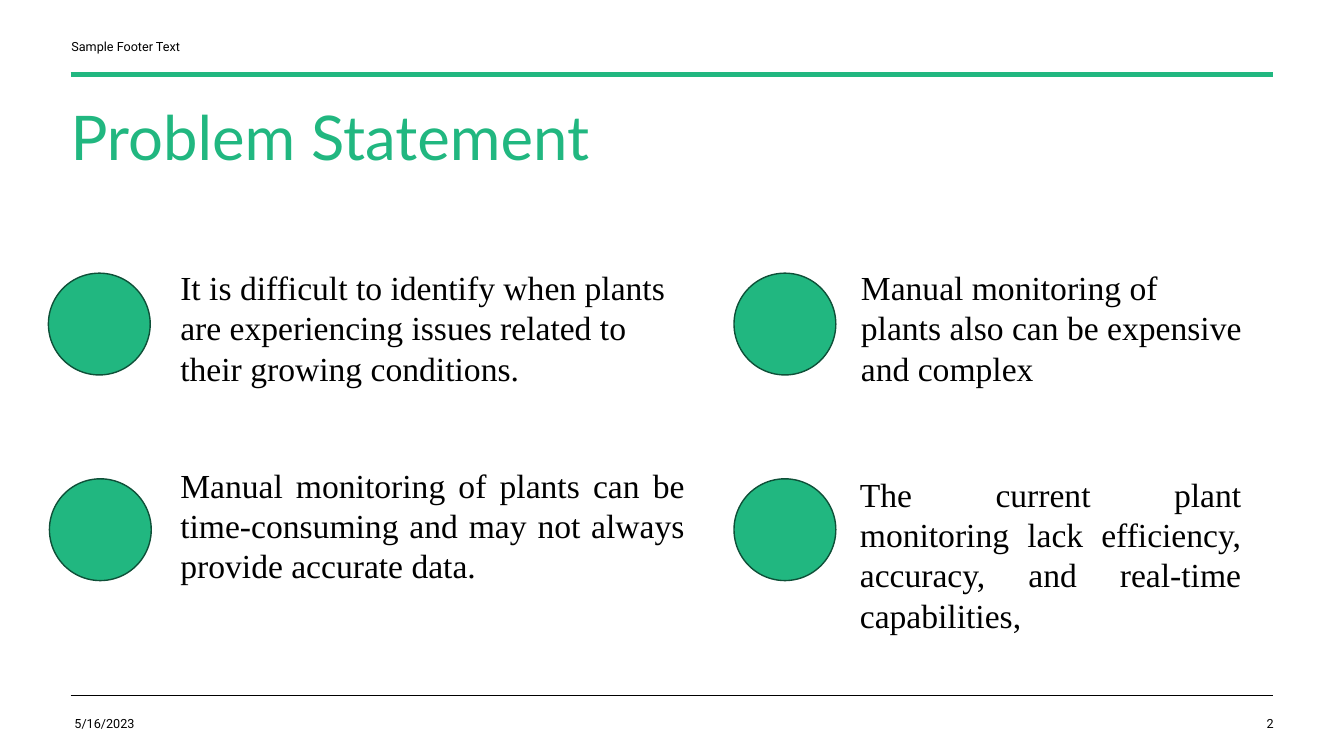
from dataclasses import dataclass

from pptx import Presentation, util as u
from pptx.dml.color import RGBColor
from pptx.enum import shapes, text
from pptx.oxml.ns import qn
from lxml import etree


@dataclass(frozen=True)
class Theme:
    """Colours, fonts and type sizes of the slide."""
    green: RGBColor = RGBColor.from_string("21B780")
    edge: RGBColor = RGBColor.from_string("0E5038")
    black: RGBColor = RGBColor.from_string("000000")
    head: str = "Lato"
    small: str = "Roboto"
    body: str = "Times New Roman"
    head_size: int = 44
    body_size: int = 24
    small_size: int = 9


THEME = Theme()
SMALL = {"name": THEME.small, "size": u.Pt(THEME.small_size)}
BODY = {"name": THEME.body, "size": u.Pt(THEME.body_size)}
HEAD = {"name": THEME.head, "size": u.Pt(THEME.head_size)}
LEFT, RIGHT, JUST = (text.PP_ALIGN.LEFT, text.PP_ALIGN.RIGHT,
                     text.PP_ALIGN.JUSTIFY)
TOP, BOTTOM = text.MSO_ANCHOR.TOP, text.MSO_ANCHOR.BOTTOM


def assign(item, values):
    """Set each attribute of the item from a dict of values."""
    for key, value in values.items():
        setattr(item, key, value)


def place(item, box):
    """Move and size an item to a box in inches."""
    names = ("left", "top", "width", "height")
    assign(item, {n: u.Inches(v) for n, v in zip(names, box)})


def write(item, words, font, colour, align=LEFT, anchor=TOP, lines=None):
    """Fill an item with one formatted paragraph."""
    frame = item.text_frame
    frame.text = words
    assign(frame, {"word_wrap": True, "vertical_anchor": anchor,
                   "auto_size": text.MSO_AUTO_SIZE.NONE})
    para = frame.paragraphs[0]
    assign(para, {"alignment": align, "line_spacing": lines})
    assign(para.font, font)
    para.font.color.rgb = colour


def label(slide, box, words, font, **style):
    """Add a black text box."""
    item = slide.shapes.add_textbox(0, 0, 0, 0)
    place(item, box)
    write(item, words, font, THEME.black, **style)


def rule(slide, box, colour, weight):
    """Draw a level line from left, top and width."""
    left, top, width = (u.Inches(v) for v in box)
    line = slide.shapes.add_connector(
        shapes.MSO_CONNECTOR.STRAIGHT, left, top, left + width, top)
    line.line.color.rgb = colour
    line.line.width = u.Pt(weight)
    etree.SubElement(line._element.spPr, qn("a:effectLst"))


def header(slide, box):
    """Place the top label, green rule and title."""
    left, top, width = box
    label(slide, (left - 0.09, top, 4.5, 0.4), "Sample Footer Text",
          SMALL, anchor=BOTTOM)
    rule(slide, (left, top + 0.55, width), THEME.green, 3)
    title = slide.shapes.title
    place(title, (left - 0.1, top + 0.85, 6.07, 1.83))
    write(title, "Problem Statement", HEAD, THEME.green, lines=0.85)


def footer(slide, box):
    """Place the bottom rule, date and page number."""
    left, top, width = box
    rule(slide, box, THEME.black, 0.5)
    label(slide, (left - 0.06, top + 0.15, 3.26, 0.34), "5/16/2023", SMALL)
    label(slide, (left + width - 0.92, top + 0.15, 1.02, 0.34), "2",
          SMALL, align=RIGHT)


def point(slide, box, words, gap, drop, align):
    """Place a green dot with its statement to the right."""
    left, top, width, height = box
    dot = slide.shapes.add_shape(shapes.MSO_SHAPE.OVAL, 0, 0, 0, 0)
    place(dot, (left, top, 1.01, 1.01))
    dot.shadow.inherit = False
    dot.fill.solid()
    dot.fill.fore_color.rgb = THEME.green
    dot.line.color.rgb = THEME.edge
    dot.line.width = u.Pt(1)
    label(slide, (left + gap, top + drop, width - gap, height), words,
          BODY, align=align)


def points(slide, box):
    """Lay out the four statements in two columns and two rows."""
    left, top = box
    near, far = left, left + 6.8
    low = top + 2.04
    items = (
        ((near, top, 6.43, 1.31), "It is difficult to identify when plants "
         "are experiencing issues related to their growing conditions.",
         1.21, -0.11, LEFT),
        ((far, top, 5.17, 1.31), "Manual monitoring of plants also can be "
         "expensive and complex", 1.16, -0.11, LEFT),
        ((near + 0.01, low, 6.4, 1.31), "Manual monitoring of plants can be "
         "time-consuming and may not always provide accurate data.",
         1.2, -0.19, JUST),
        ((far, low, 5.13, 1.7), "The current plant monitoring lack "
         "efficiency, accuracy, and real-time capabilities,",
         1.15, -0.1, JUST),
    )
    for item in items:
        point(slide, *item)


def main():
    """Build and save the slide."""
    deck = Presentation()
    assign(deck, {"slide_width": u.Inches(13.33),
                  "slide_height": u.Inches(7.5)})
    slide = deck.slides.add_slide(deck.slide_layouts[5])
    header(slide, (0.7, 0.19, 11.93))
    points(slide, (0.48, 2.71))
    footer(slide, (0.7, 6.9, 11.93))
    deck.save("out.pptx")


if __name__ == "__main__":
    main()
